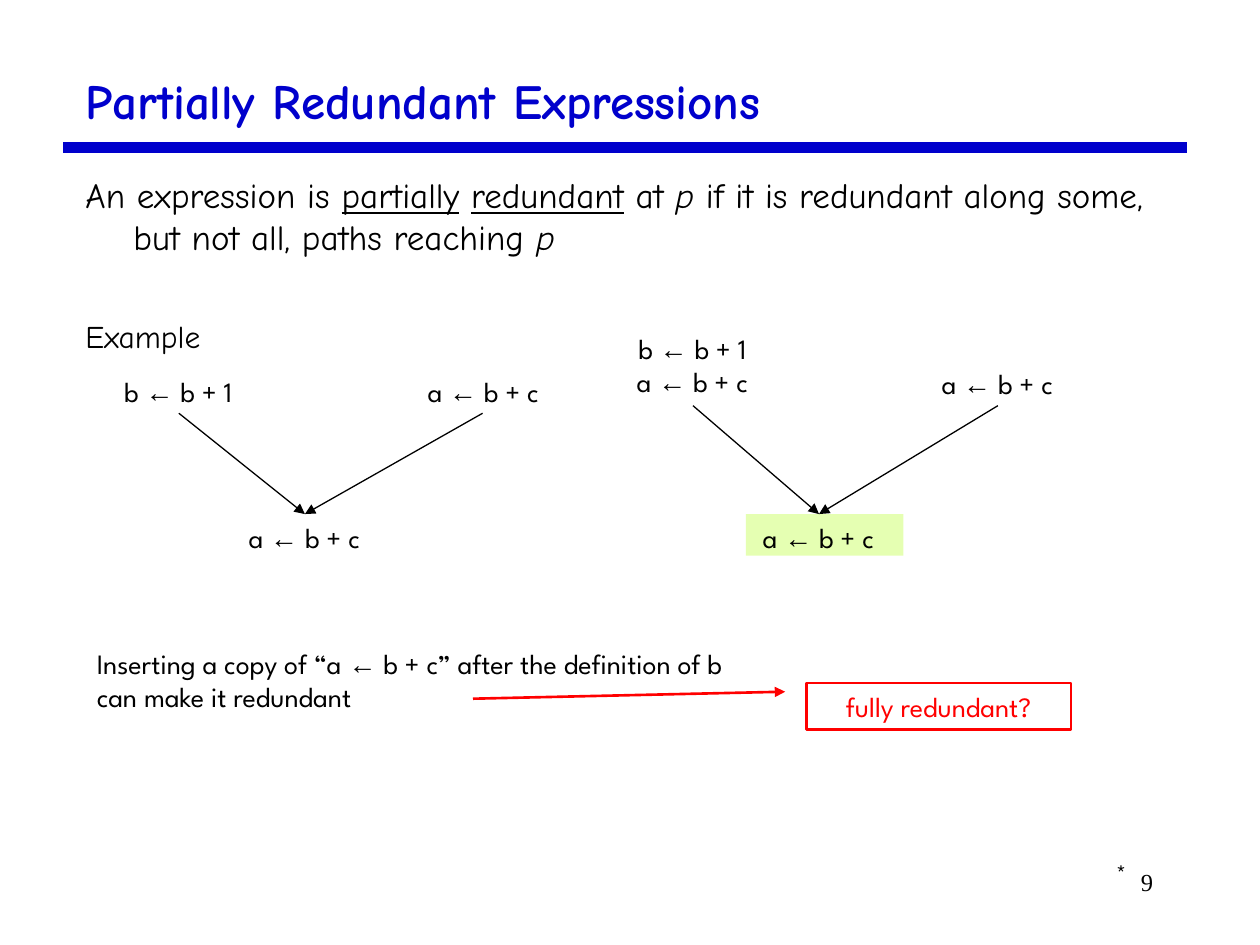
from lxml.etree import SubElement
from pptx import Presentation
from pptx.dml.color import RGBColor
from pptx.enum.shapes import MSO_CONNECTOR as LINE, MSO_SHAPE as SHAPE
from pptx.enum.text import MSO_ANCHOR as ANCHOR, PP_ALIGN as ALIGN
from pptx.oxml.ns import qn
from pptx.util import Inches, Pt

BLUE = RGBColor(0x00, 0x00, 0xCC)
BLACK = RGBColor(0x00, 0x00, 0x00)
RED = RGBColor(0xFF, 0x00, 0x00)
LIME = RGBColor(0xCC, 0xFF, 0x66)
HAND, SANS, SERIF, SYMBOL = "Comic Neue", "League Spartan", "Times New Roman", "Arial"
UNDER, ITALIC = {"underline": True}, {"italic": True}


def formula(text):
    """Split text into runs with each arrow in the symbol font."""
    before, arrow, after = text.partition("←")
    return [(before, {}), (arrow, {"font": SYMBOL}), (after, {})]


class Deck:
    """Draws on the current slide in a grid of 120 columns by 90 rows."""

    def __init__(self):
        self.prs = Presentation()
        self.prs.slide_width, self.prs.slide_height = Inches(10), Inches(7.5)
        self.s = self.prs.slides.add_slide(self.prs.slide_layouts[6])

    def grid(self, *units):
        """Turn grid units into lengths."""
        return [Inches(round(unit / 12, 2)) for unit in units]

    def paragraph(self, p, runs, font=SANS, size=16, color=BLACK, bold=False,
                  align=ALIGN.LEFT, before=0):
        """Fill a paragraph with styled runs."""
        p.alignment, p.space_before = align, Pt(before)
        for text, style in runs:
            r = p.add_run()
            r.text = text
            r.font.name = style.get("font", font)
            r.font.size, r.font.bold = Pt(size), bold
            r.font.color.rgb = color
            r.font.underline = style.get("underline")
            r.font.italic = style.get("italic")

    def text(self, at, *paragraphs, anchor=ANCHOR.TOP, **style):
        """Add a wrapped text box with one paragraph per list of runs."""
        tf = self.s.shapes.add_textbox(*self.grid(*at)).text_frame
        tf.word_wrap, tf.vertical_anchor = True, anchor
        for i, runs in enumerate(paragraphs):
            p = tf.add_paragraph() if i else tf.paragraphs[0]
            self.paragraph(p, runs, **style)
        return tf

    def line(self, start, end, color=BLACK, width=0.75, arrow=True):
        """Add a straight line, with an arrowhead at its end if asked."""
        sp = self.s.shapes.add_connector(LINE.STRAIGHT, *self.grid(*start, *end))
        sp.line.color.rgb, sp.line.width = color, Pt(width)
        if arrow:
            SubElement(sp.line._get_or_add_ln(), qn("a:tailEnd"), type="triangle")
        SubElement(sp._element.spPr, qn("a:effectLst"))

    def highlight(self, at, color):
        """Add a half transparent rectangle."""
        sp = self.s.shapes.add_shape(SHAPE.RECTANGLE, *self.grid(*at))
        sp.shadow.inherit = False
        sp.fill.solid()
        sp.fill.fore_color.rgb = color
        sp.line.fill.background()
        fill = sp._element.spPr.find(qn("a:solidFill"))
        SubElement(fill[0], qn("a:alpha"), val="50000")

    def callout(self, at, text, color, pointer):
        """Add an outlined callout whose pointer ends in an arrowhead at the box."""
        sp = self.s.shapes.add_shape(SHAPE.LINE_CALLOUT_1, *self.grid(*at))
        sp.shadow.inherit = False
        sp.fill.background()
        sp.line.color.rgb, sp.line.width = color, Pt(1.5)
        SubElement(sp.line._get_or_add_ln(), qn("a:headEnd"), type="triangle")
        for i, share in enumerate(pointer):
            sp.adjustments[i] = share
        tf = sp.text_frame
        tf.word_wrap, tf.vertical_anchor = True, ANCHOR.TOP
        self.paragraph(tf.paragraphs[0], [(text, {})], color=color, align=ALIGN.CENTER)

    def join(self, left, top, fork, first):
        """Add two branches that meet in one expression."""
        last = "a ← b + c"
        base = top + 3.3 * (1 - len(first))
        boxes = [(left, base, first), (left + 29, top, [last]), (left + 12, 49, [last])]
        for x, y, lines in boxes:
            self.text((x, y, 16, 1.1 + 3.3 * len(lines)), *map(formula, lines),
                      align=ALIGN.CENTER)
        for x in (left + 8, left + 37):
            self.line((x, fork), (left + 20, 49))


def main():
    deck = Deck()
    deck.line((6, 14), (113, 14), BLUE, 6, arrow=False)
    deck.text((7, 6, 105, 7), [("Partially Redundant Expressions", {})],
              anchor=ANCHOR.MIDDLE, font=HAND, size=28, color=BLUE, bold=True)
    tf = deck.text((7, 16, 105, 64), [
        ("An expression is ", {}), ("partially", UNDER), (" ", {}),
        ("redundant", UNDER), (" at ", {}), ("p", ITALIC),
        (" if it is redundant along some, but not all, paths reaching ", {}),
        ("p", ITALIC)], font=HAND, size=20, before=12.5)
    deck.paragraph(tf.add_paragraph(), [("Example", {})], font=HAND, size=18, before=33.8)
    for p in tf.paragraphs:
        pPr = p._p.get_or_add_pPr()
        pPr.set("marL", str(Inches(0.38)))
        pPr.set("indent", str(Inches(-0.38)))

    deck.highlight((71, 49, 15, 4), LIME)
    deck.join(9, 35, 39.4, ["b ← b + 1"])
    deck.join(58, 34.3, 38.6, ["b ← b + 1", "a ← b + c"])

    deck.text((8, 61, 66, 7.7), formula(
        "Inserting a copy of “a ← b + c” after the definition of b can make it redundant"))
    deck.callout((76.8, 65, 25.2, 4.4), "fully redundant?", RED,
                 (0.19, -0.08, 0.34, -1.26))
    deck.text((86, 82, 25, 6), [("9", {})], font=SERIF, size=14, align=ALIGN.RIGHT)
    deck.text((105.1, 81.1, 4, 4.1), [("*", {})], size=14)
    deck.prs.save("out.pptx")


if __name__ == "__main__":
    main()
